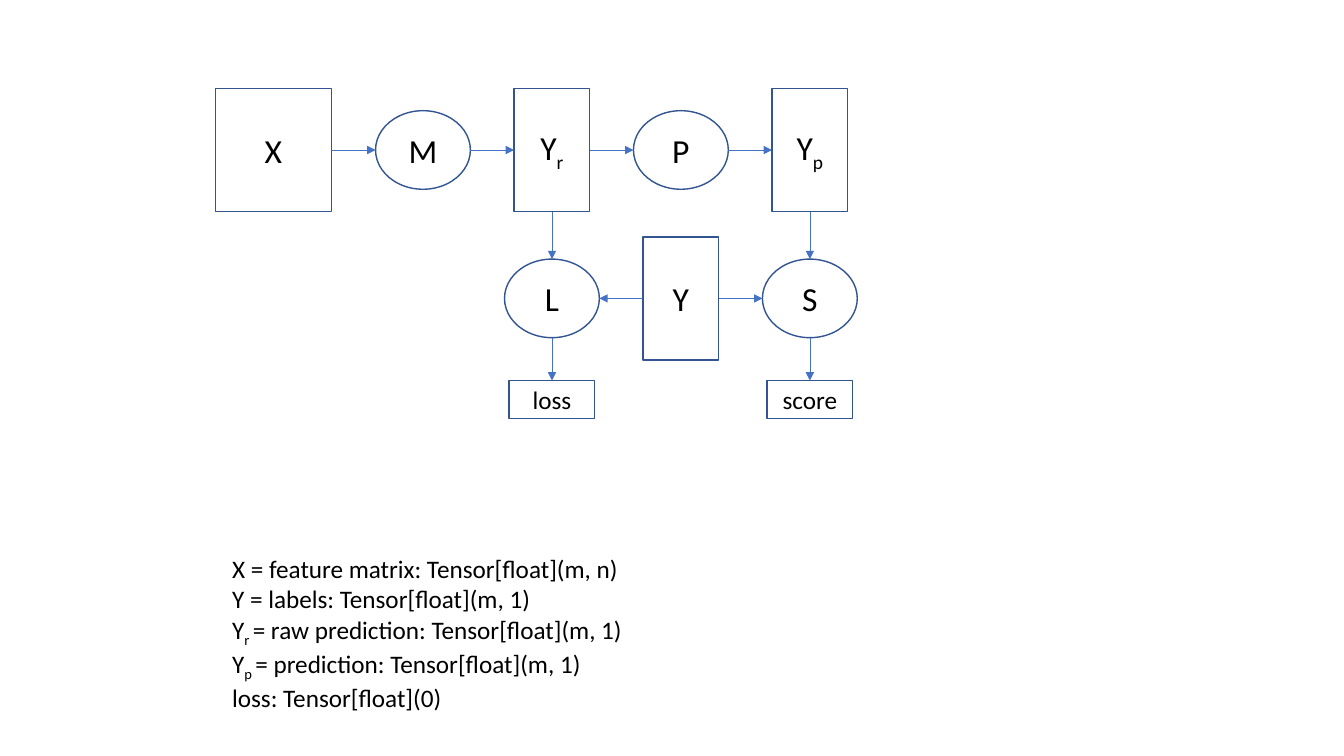
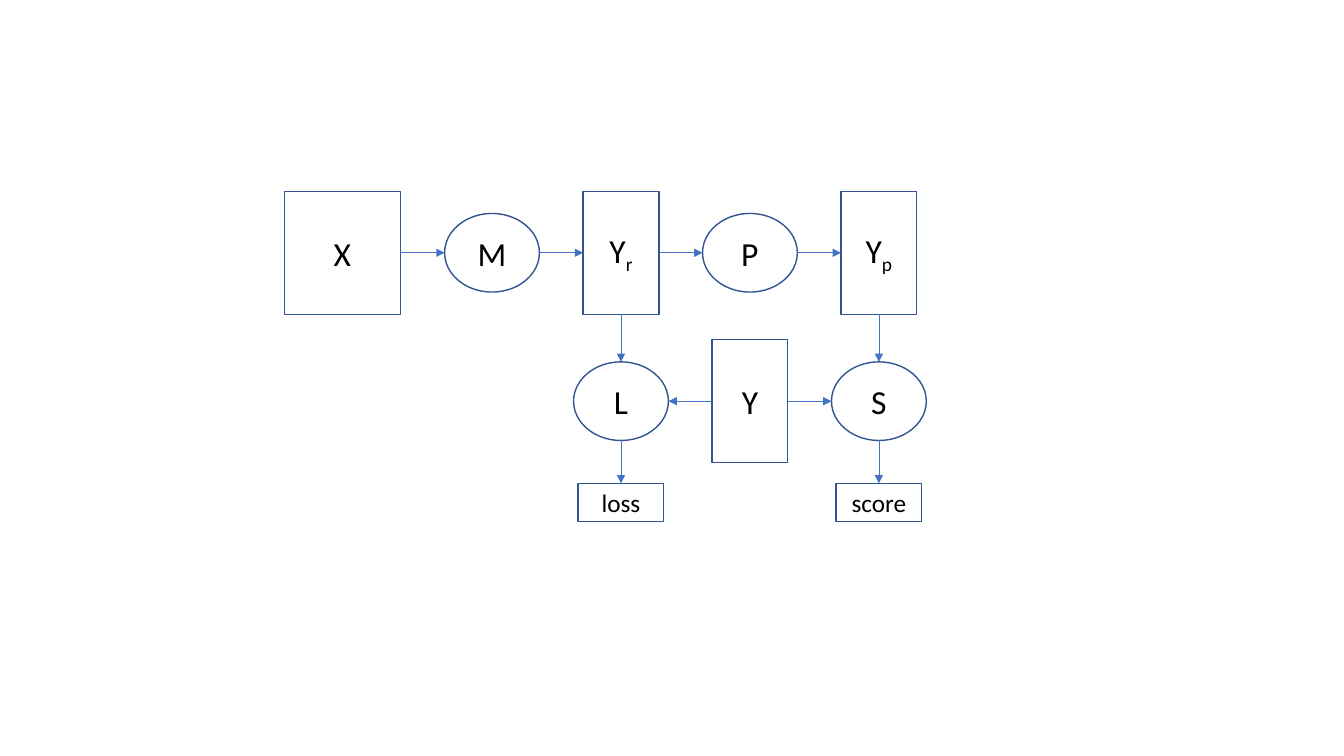
from lxml import etree
from pptx import Presentation
from pptx.dml.color import RGBColor
from pptx.enum.shapes import MSO_CONNECTOR, MSO_SHAPE
from pptx.enum.text import MSO_ANCHOR, MSO_AUTO_SIZE, PP_ALIGN
from pptx.oxml.ns import qn
from pptx.util import Cm, Pt

RECT, OVAL = MSO_SHAPE.RECTANGLE, MSO_SHAPE.OVAL
STRAIGHT = MSO_CONNECTOR.STRAIGHT
CENTER, LEFT = PP_ALIGN.CENTER, PP_ALIGN.LEFT
MIDDLE = MSO_ANCHOR.MIDDLE
FIT_TEXT = MSO_AUTO_SIZE.SHAPE_TO_FIT_TEXT

COLORS = {"paper": "FFFFFF", "ink": "000000", "outline": "325491", "arrow": "4472C4"}
FONT = "Calibri"
LARGE, SMALL = 24, 18

# Kind of node: preset shape, width and height in cm, text size
KINDS = {
    "features": (RECT, 2.92, 3.1, LARGE),
    "vector": (RECT, 1.91, 3.1, LARGE),
    "function": (OVAL, 2.39, 1.98, LARGE),
    "scalar": (RECT, 2.16, 0.96, SMALL),
}

# Centres in cm from the diagram's top left corner
FEATURES_X = 1.46
MODEL_X, RAW_X, LABEL_X, SCORE_X = (5.23 + 3.25 * step for step in range(4))
PREDICT_Y, COMPARE_Y, RESULT_Y = 1.57, 5.31, 7.86

# Text between tildes is subscript
NODES = {
    "X": ("features", FEATURES_X, PREDICT_Y),
    "M": ("function", MODEL_X, PREDICT_Y),
    "Y~r~": ("vector", RAW_X, PREDICT_Y),
    "P": ("function", LABEL_X, PREDICT_Y),
    "Y~p~": ("vector", SCORE_X, PREDICT_Y),
    "L": ("function", RAW_X, COMPARE_Y),
    "Y": ("vector", LABEL_X, COMPARE_Y),
    "S": ("function", SCORE_X, COMPARE_Y),
    "loss": ("scalar", RAW_X, RESULT_Y),
    "score": ("scalar", SCORE_X, RESULT_Y),
}
FLOWS = [
    ("X", "M"), ("M", "Y~r~"), ("Y~r~", "P"), ("P", "Y~p~"),
    ("Y~r~", "L"), ("Y~p~", "S"), ("Y", "L"), ("Y", "S"),
    ("L", "loss"), ("S", "score"),
]
LEGEND = [
    "X = feature matrix: Tensor[float](m, n)",
    "Y = labels: Tensor[float](m, 1)",
    "Y~r ~= raw prediction: Tensor[float](m, 1)",
    "Y~p ~= prediction: Tensor[float](m, 1)",
    "loss: Tensor[float](0)",
]


def rgb(name):
    return RGBColor.from_string(COLORS[name])


def write(frame, lines, size=SMALL, align=LEFT):
    """Fill a text frame, one paragraph a line, with ~subscript~ marks."""
    for number, line in enumerate(lines):
        paragraph = frame.add_paragraph() if number else frame.paragraphs[0]
        paragraph.alignment = align
        for index, piece in enumerate(line.split("~")):
            if not piece:
                continue
            run = paragraph.add_run()
            run.text = piece
            run.font.name = FONT
            run.font.size = Pt(size)
            run.font.color.rgb = rgb("ink")
            if index % 2:
                run.font._element.set("baseline", "-25000")


class Deck:
    def __init__(self):
        self.show = Presentation()
        self.show.slide_width, self.show.slide_height = Cm(33.87), Cm(19.05)
        self.slide = None

    def new_slide(self):
        self.slide = self.show.slides.add_slide(self.show.slide_layouts[6])

    def node(self, shapes, label, kind, x, y):
        """Draw a labelled shape centred on x, y."""
        preset, width, height, size = KINDS[kind]
        node = shapes.add_shape(
            preset, Cm(x - width / 2), Cm(y - height / 2), Cm(width), Cm(height))
        node.shadow.inherit = False
        node.fill.solid()
        node.fill.fore_color.rgb = rgb("paper")
        node.line.color.rgb = rgb("outline")
        node.line.width = Pt(1)
        node.text_frame.vertical_anchor = MIDDLE
        write(node.text_frame, [label], size=size, align=CENTER)
        return node

    def arrow(self, shapes, source, target):
        """Join the facing edges of two nodes in one row or column."""
        if source.top + source.height <= target.top:
            x = source.left + source.width // 2
            ends = (x, source.top + source.height, x, target.top)
        else:
            y = source.top + source.height // 2
            if source.left < target.left:
                ends = (source.left + source.width, y, target.left, y)
            else:
                ends = (source.left, y, target.left + target.width, y)
        arrow = shapes.add_connector(STRAIGHT, *ends)
        arrow.line.color.rgb = rgb("arrow")
        arrow.line.width = Pt(0.5)
        etree.SubElement(arrow.line._get_or_add_ln(), qn("a:tailEnd"), type="triangle")
        etree.SubElement(arrow._element.spPr, qn("a:effectLst"))

    def diagram(self, left, top):
        shapes = self.slide.shapes.add_group_shape().shapes
        nodes = {
            label: self.node(shapes, label, kind, left + x, top + y)
            for label, (kind, x, y) in NODES.items()
        }
        for source, target in FLOWS:
            self.arrow(shapes, nodes[source], nodes[target])

    def legend(self, left, top, width, height):
        box = self.slide.shapes.add_textbox(Cm(left), Cm(top), Cm(width), Cm(height))
        box.text_frame.word_wrap = False
        box.text_frame.auto_size = FIT_TEXT
        write(box.text_frame, LEGEND)


def main():
    deck = Deck()
    deck.new_slide()
    deck.diagram(5.43, 2.21)
    deck.legend(5.6, 13.82, 10.54, 4.11)
    deck.new_slide()
    deck.diagram(7.17, 4.8)
    deck.show.save("out.pptx")


if __name__ == "__main__":
    main()
